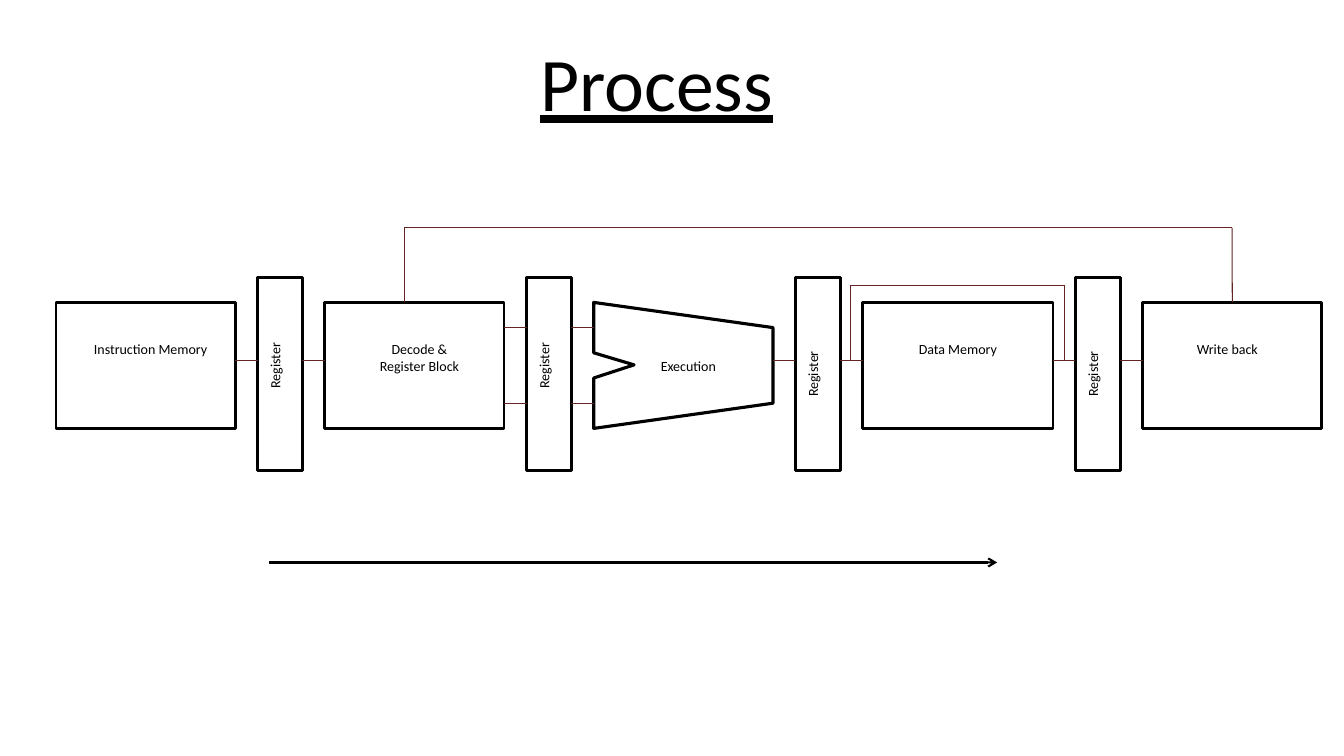
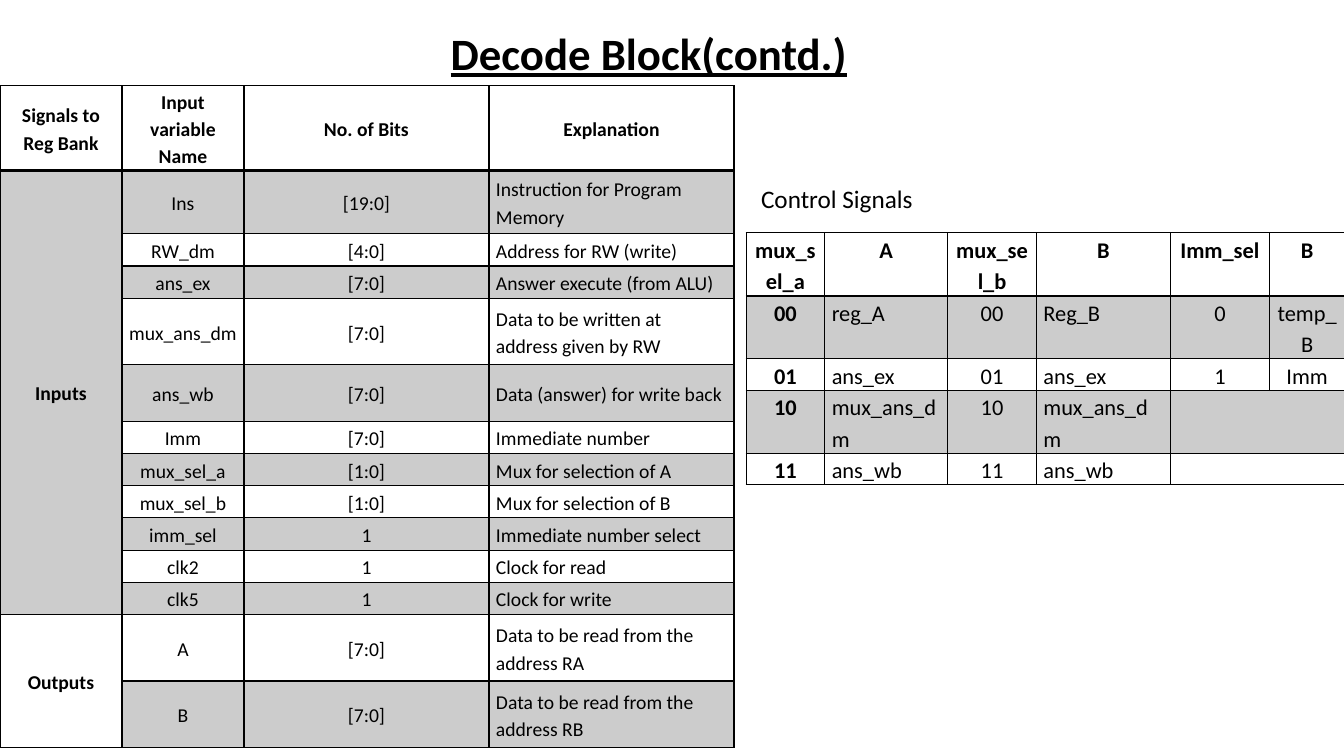
from dataclasses import dataclass

from lxml import etree
from pptx import Presentation
from pptx import util as u
from pptx.dml.color import RGBColor
from pptx.enum import shapes, text
from pptx.oxml import ns

Inches, Pt = u.Inches, u.Pt


@dataclass(frozen=True)
class Theme:
    font: str = "Calibri"
    ink: str = "000000"
    wire: str = "632523"
    shade: str = "CCCCCC"
    label: int = 10
    signal: int = 14
    control: int = 16
    caption: int = 18
    subtitle: int = 32
    title: int = 54
    outline: float = 2
    execution_outline: float = 2.25
    wire_width: float = 0.75
    flow_width: float = 1.5


THEME = Theme()
UNIT = Inches(2) / 9
LEFT, CENTER = text.PP_ALIGN.LEFT, text.PP_ALIGN.CENTER
TOP, MIDDLE = text.MSO_ANCHOR.TOP, text.MSO_ANCHOR.MIDDLE

STAGES = [
    {"lines": ["Instruction Memory"], "units": 8, "nudge": 0.05},
    {"lines": ["Decode &", "Register Block"], "units": 8, "nudge": 0.05},
    {"lines": ["Execution"], "units": 8, "nudge": 0.05},
    {"lines": ["Data Memory"], "units": 8.5, "nudge": 0},
    {"lines": ["Write back"], "units": 8, "nudge": -0.05},
]
REGISTER_LABEL_CENTERS = [3.63, 3.63, 3.71, 3.71]
STAGE_TOP, STAGE_HEIGHT = 3, 1.25
REGISTER_TOP, REGISTER_HEIGHT = 2.75, 1.92
SINGLE_WIRE, DOUBLE_WIRE = [3.58], [3.25, 4]
GAP_WIRES = [SINGLE_WIRE] * 2 + [DOUBLE_WIRE] * 2 + [SINGLE_WIRE] * 4
BYPASS = [(8.44, 3.58), (8.44, 2.83), (10.56, 2.83), (10.56, 3.58)]
FEEDBACK = [(4.01, 3), (4.01, 2.26), (12.22, 2.26), (12.22, 3)]
FLOW = [(2.67, 5.58), (9.89, 5.58)]

SIGNALS = {
    "at": (0, 0.85),
    "columns": [1.21, 1.21, 2.43, 2.43],
    "heights": [0.84, 0.63, 0.32, 0.32, 0.66, 0.56] + [0.32] * 6 + [0.66] * 2,
    "aligns": [CENTER, CENTER, CENTER, LEFT],
    "anchor": MIDDLE,
    "size": THEME.signal,
    "merges": [(1, 0, 11, 0), (12, 0, 13, 0)],
    "rows": [
        ("Signals to\nReg Bank", "Input variable Name", "No. of Bits", "Explanation"),
        ("Inputs", "Ins", "[19:0]", "Instruction for Program Memory"),
        ("", "RW_dm", "[4:0]", "Address for RW (write)"),
        ("", "ans_ex", "[7:0]", "Answer execute (from ALU)"),
        ("", "mux_ans_dm", "[7:0]", "Data to be written at address given by RW"),
        ("", "ans_wb", "[7:0]", "Data (answer) for write back"),
        ("", "Imm", "[7:0]", "Immediate number"),
        ("", "mux_sel_a", "[1:0]", "Mux for selection of A"),
        ("", "mux_sel_b", "[1:0]", "Mux for selection of B"),
        ("", "imm_sel", "1", "Immediate number select"),
        ("", "clk2", "1", "Clock for read"),
        ("", "clk5", "1", "Clock for write"),
        ("Outputs", "A", "[7:0]", "Data to be read from the address RA"),
        ("", "B", "[7:0]", "Data to be read from the address RB"),
    ],
}
CONTROLS = {
    "at": (7.4, 2.31),
    "columns": [0.78, 1.22, 0.88, 1.33, 0.98, 0.75],
    "heights": [0.59, 0.5, 0.29, 0.44, 0.29],
    "aligns": [CENTER, LEFT, CENTER, LEFT, CENTER, CENTER],
    "anchor": TOP,
    "size": THEME.control,
    "merges": [(3, 4, 3, 5), (4, 4, 4, 5)],
    "rows": [
        ("mux_sel_a", "A", "mux_sel_b", "B", "Imm_sel", "B"),
        ("00", "reg_A", "00", "Reg_B", "0", "temp_B"),
        ("01", "ans_ex", "01", "ans_ex", "1", "Imm"),
        ("10", "mux_ans_dm", "10", "mux_ans_dm", "", ""),
        ("11", "ans_wb", "11", "ans_wb", "", ""),
    ],
}


def color(value):
    return RGBColor.from_string(value)


def assign(target, **values):
    for name, value in values.items():
        setattr(target, name, value)


def write(frame, lines, size, align=CENTER, spacing=None, **font):
    frame.text = "\n".join(lines)
    for paragraph in frame.paragraphs:
        assign(paragraph, alignment=align, line_spacing=spacing)
        for run in paragraph.runs:
            assign(run.font, name=THEME.font, size=Pt(size), **font)
            run.font.color.rgb = color(THEME.ink)


def add_title(slide, content, box, size, **font):
    title = slide.shapes.title
    assign(title, **dict(zip(("left", "top", "width", "height"), map(Inches, box))))
    assign(title.text_frame, auto_size=text.MSO_AUTO_SIZE.NONE, vertical_anchor=MIDDLE)
    write(title.text_frame, [content], size, underline=True, **font)


def add_label(slide, content, box, size, align=CENTER, rotation=0):
    label = slide.shapes.add_textbox(*map(int, box))
    label.rotation = rotation
    label.text_frame.word_wrap = True
    write(label.text_frame, [content], size, align)


def outline(shape, width):
    shape.shadow.inherit = False
    shape.fill.background()
    shape.line.color.rgb = color(THEME.ink)
    shape.line.width = Pt(width)


def add_line(slide, start, end, ink=THEME.wire, width=THEME.wire_width):
    line = slide.shapes.add_connector(
        shapes.MSO_CONNECTOR.STRAIGHT, *(int(value) for value in start + end))
    line.line.color.rgb = color(ink)
    line.line.width = Pt(width)
    etree.SubElement(line._element.spPr, ns.qn("a:effectLst"))
    return line


def add_route(slide, points, **style):
    corners = [(Inches(x), Inches(y)) for x, y in points]
    return [add_line(slide, *pair, **style) for pair in zip(corners, corners[1:])]


def add_box(slide, left, top, width, height):
    box = slide.shapes.add_shape(
        shapes.MSO_SHAPE.RECTANGLE, int(left), Inches(top), int(width), Inches(height))
    outline(box, THEME.outline)
    return box


def add_execution(slide, left, width):
    right, notch = left + width, left + Inches(0.4)
    corners = [(left, 4.25), (left, 3.75), (notch, 3.62), (left, 3.5),
               (left, 3), (right, 3.25), (right, 4)]
    points = [(int(x), Inches(y)) for x, y in corners]
    builder = slide.shapes.build_freeform(*points[0], scale=1.0)
    builder.add_line_segments(points[1:], close=True)
    shape = builder.convert_to_shape()
    outline(shape, THEME.execution_outline)
    return shape


def add_stage(slide, stage, left, width):
    is_execution = stage["lines"] == ["Execution"]
    if is_execution:
        shape = add_execution(slide, left, width)
    else:
        shape = add_box(slide, left, STAGE_TOP, width, STAGE_HEIGHT)
    shift = 2 * stage["nudge"]
    assign(shape.text_frame, word_wrap=True, vertical_anchor=TOP,
           margin_top=Inches(0.55 if is_execution else 0.38),
           margin_left=Inches(max(0, shift)), margin_right=Inches(max(0, -shift)))
    write(shape.text_frame, stage["lines"], THEME.label)
    return shape


def add_register(slide, left, center):
    add_box(slide, left, REGISTER_TOP, 2 * UNIT, REGISTER_HEIGHT)
    width, height = Inches(1.08), Inches(0.27)
    middle = left + UNIT - Inches(0.05)
    add_label(slide, "Register",
              (middle - width / 2, Inches(center) - height / 2, width, height),
              THEME.label, rotation=270)


def build_process(slide):
    add_title(slide, "Process", (2.15, 0.3, 8.73, 1.01), THEME.title)
    left, edges, stage_shapes = 2.5 * UNIT, [], []
    for index, stage in enumerate(STAGES):
        width = stage["units"] * UNIT
        stage_shapes.append(add_stage(slide, stage, left, width))
        edges.append((left, left + width))
        left += width + UNIT
        if index < len(REGISTER_LABEL_CENTERS):
            add_register(slide, left, REGISTER_LABEL_CENTERS[index])
            edges.append((left, left + 2 * UNIT))
            left += 3 * UNIT
    for (_, start), (end, _), heights in zip(edges, edges[1:], GAP_WIRES):
        for height in heights:
            add_line(slide, (start, Inches(height)), (end, Inches(height)))
    add_route(slide, BYPASS)
    add_route(slide, FEEDBACK)[-1].end_connect(stage_shapes[-1], 0)
    flow = add_route(slide, FLOW, ink=THEME.ink, width=THEME.flow_width)[0]
    etree.SubElement(flow.line._get_or_add_ln(), ns.qn("a:tailEnd"), type="arrow")


def set_borders(cell, row):
    properties = cell._tc.get_or_add_tcPr()
    widths = {"lnL": 1, "lnR": 1, "lnT": 2 if row == 1 else 1, "lnB": 2 if row == 0 else 1}
    for position, (side, width) in enumerate(widths.items()):
        border = etree.Element(ns.qn(f"a:{side}"), w=str(Pt(width)))
        fill = etree.SubElement(border, ns.qn("a:solidFill"))
        etree.SubElement(fill, ns.qn("a:srgbClr"), val=THEME.ink)
        properties.insert(position, border)


def add_grid(slide, grid):
    rows, columns, heights = grid["rows"], grid["columns"], grid["heights"]
    frame = slide.shapes.add_table(
        len(rows), len(columns), *map(Inches, grid["at"]),
        Inches(sum(columns)), Inches(sum(heights)))
    table = frame.table
    assign(table, first_row=False, horz_banding=False)
    for column, width in zip(table.columns, columns):
        column.width = Inches(width)
    for row, height in zip(table.rows, heights):
        row.height = Inches(height)
    for row, values in enumerate(rows):
        for column, value in enumerate(values):
            cell = table.cell(row, column)
            assign(cell, margin_left=Inches(0.07), margin_right=Inches(0.07),
                   margin_top=0, margin_bottom=0, vertical_anchor=grid["anchor"])
            if value:
                align = CENTER if row == 0 else grid["aligns"][column]
                write(cell.text_frame, value.split("\n"), grid["size"], align, 1.15,
                      bold=row == 0 or column == 0)
            if row % 2:
                cell.fill.solid()
                cell.fill.fore_color.rgb = color(THEME.shade)
            else:
                cell.fill.background()
            set_borders(cell, row)
    for top, left, bottom, right in grid["merges"]:
        table.cell(top, left).merge(table.cell(bottom, right))


def build_decode(slide):
    add_title(slide, "Decode Block(contd.)", (1.33, 0.2, 10.21, 0.64),
              THEME.subtitle, bold=True)
    add_grid(slide, SIGNALS)
    add_grid(slide, CONTROLS)
    add_label(slide, "Control Signals", map(Inches, (7.45, 1.77, 5.88, 0.4)),
              THEME.caption, LEFT)


def main():
    presentation = Presentation()
    assign(presentation, slide_width=Inches(13.33), slide_height=Inches(7.5))
    for build in (build_process, build_decode):
        build(presentation.slides.add_slide(presentation.slide_layouts[5]))
    presentation.save("out.pptx")


if __name__ == "__main__":
    main()
